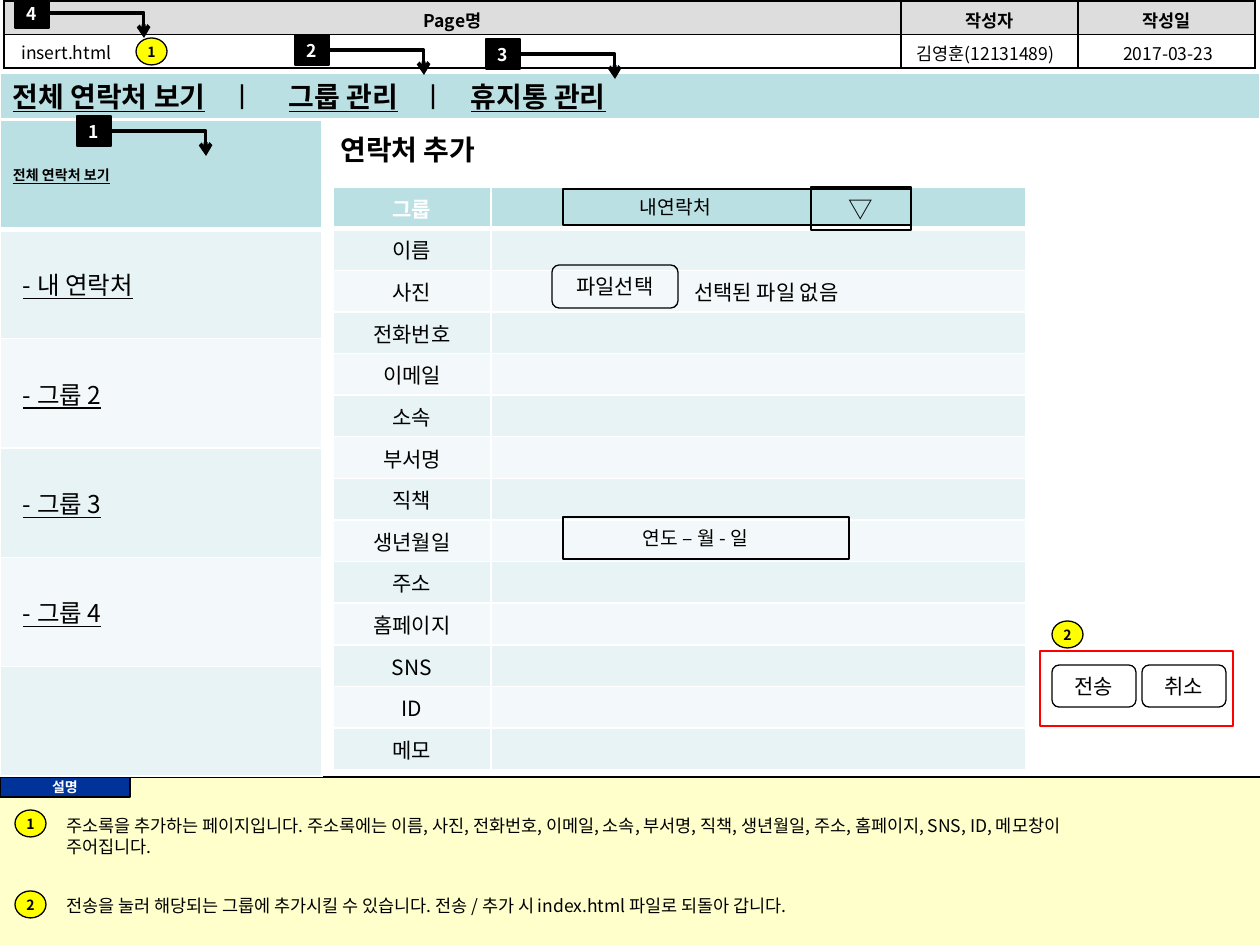
import pptx
import pptx.util
import pptx.dml.color
import pptx.enum.shapes
import pptx.enum.text
import pptx.oxml.ns
from lxml import etree

SCALE = 914400 / 126
FONT = "Noto Sans CJK KR"
INK = {
    "black": "000000", "white": "FFFFFF", "gray": "DDDDDD", "cream": "FFFFCC",
    "navy": "003399", "yellow": "FFFF00", "red": "FF0000",
    "teal": "BBE0E3", "mint": "E7F3F4", "pale": "F3F9FA",
}
KIND = pptx.enum.shapes.MSO_SHAPE
WIRE = pptx.enum.shapes.MSO_CONNECTOR
ANCHOR = pptx.enum.text.MSO_ANCHOR
ALIGN = {"l": pptx.enum.text.PP_ALIGN.LEFT, "c": pptx.enum.text.PP_ALIGN.CENTER}


def px(n):
    return pptx.util.Emu(round(n * SCALE))


def rgb(name):
    return pptx.dml.color.RGBColor.from_string(INK[name])


def node(parent, tag, **attrs):
    return etree.SubElement(parent, pptx.oxml.ns.qn("a:" + tag), **attrs)


def write(par, text, size=10, color="black", bold=False, under=False, align="l"):
    par.alignment = ALIGN[align]
    if not text:
        node(par._p, "endParaRPr", sz=str(size * 100))
        return
    run = par.add_run()
    run.text = text
    font = run.font
    font.size, font.bold, font.underline = pptx.util.Pt(size), bold, under
    font.color.rgb = rgb(color)
    font.name = FONT
    node(run._r.get_or_add_rPr(), "ea", typeface=FONT)


class Page:
    def __init__(self, deck):
        self.slide = deck.slides.add_slide(deck.slide_layouts[6])
        self.shapes = self.slide.shapes

    def paint(self, item, color):
        if color:
            item.fill.solid()
            item.fill.fore_color.rgb = rgb(color)
        else:
            item.fill.background()

    def shape(self, box, text="", kind=KIND.RECTANGLE, fill=None, line="black",
              width=0.75, pad=13, wrap=True, **style):
        item = self.shapes.add_shape(kind, *map(px, box))
        item.shadow.inherit = False
        self.paint(item, fill)
        if line:
            item.line.color.rgb = rgb(line)
            item.line.width = pptx.util.Pt(width)
        else:
            item.line.fill.background()
        frame = item.text_frame
        frame.word_wrap = wrap
        frame.vertical_anchor = ANCHOR.MIDDLE
        frame.margin_left, frame.margin_right = px(pad), px(min(pad, 13))
        frame.margin_top = frame.margin_bottom = 0
        if text:
            write(frame.paragraphs[0], text, **style)
        return item

    def text(self, box, *lines, **style):
        frame = self.shapes.add_textbox(*map(px, box)).text_frame
        frame.word_wrap = True
        for i, line in enumerate(lines):
            par = frame.add_paragraph() if i else frame.paragraphs[0]
            write(par, line, **style)

    def dot(self, x, y, text):
        self.shape((x, y, 31, 27), text, KIND.OVAL, "yellow", pad=0, wrap=False,
                   size=8, bold=True, align="c")

    def flag(self, x, y, text):
        self.shape((x, y, 34, 30), text, fill="black", pad=0, wrap=False,
                   color="white", bold=True, align="c")
        self.arrow(x + 34, y + 15, 95, 25)

    def arrow(self, x, y, w, h):
        wire = self.shapes.add_connector(WIRE.ELBOW, *map(px, (x, y, x + w, y + h)))
        wire.line.color.rgb = rgb("black")
        wire.line.width = pptx.util.Pt(2.25)
        node(wire.line._get_or_add_ln(), "tailEnd", type="arrow")
        props = wire._element.spPr
        node(props, "effectLst")
        turn = props.find(".//" + pptx.oxml.ns.qn("a:avLst"))
        node(turn, "gd", name="adj1", fmla="val 99500")

    def rule(self, x, y, w):
        wire = self.shapes.add_connector(WIRE.STRAIGHT, *map(px, (x, y, x + w, y)))
        wire.line.color.rgb = rgb("black")
        wire.line.width = pptx.util.Pt(0.75)
        node(wire._element.spPr, "effectLst")

    def table(self, x, y, cols, rows, height):
        item = self.shapes.add_table(rows, len(cols), *map(px, (x, y, sum(cols), height)))
        grid = item.table
        grid.first_row = grid.horz_banding = False
        for col, width in zip(grid.columns, cols):
            col.width = px(width)
        for row in grid.rows:
            row.height = px(height / rows)
        return grid

    def cell(self, cell, text="", fill=None, edge="white", top=1, base=1,
             pad=13, middle=False, **style):
        cell.margin_left, cell.margin_right = px(pad), px(13)
        cell.margin_top, cell.margin_bottom = px(6), px(6 if middle else 0)
        cell.vertical_anchor = ANCHOR.MIDDLE if middle else ANCHOR.TOP
        props = cell._tc.get_or_add_tcPr()
        for side, width in zip("LRTB", (1, 1, top, base)):
            line = node(props, "ln" + side, w=str(width * 12700))
            node(node(line, "solidFill"), "srgbClr", val=INK[edge])
        self.paint(cell, fill)
        write(cell.text_frame.paragraphs[0], text, **style)


def band(i):
    """Fill and border widths of row i under a heading row."""
    fill = "teal" if i == 0 else "mint" if i % 2 else "pale"
    return dict(fill=fill, top=3 if i == 1 else 1, base=3 if i == 0 else 1)


def main():
    deck = pptx.Presentation()
    deck.slide_width, deck.slide_height = px(1260), px(945)
    page = Page(deck)

    # Frame: note area and page heading
    page.shape((0, 777, 1260, 168), fill="cream", line=None)
    head = page.table(4, 1, (897, 177, 177), 2, 67)
    for i, name in enumerate(("Page명", "작성자", "작성일")):
        page.cell(head.cell(0, i), name, "gray", "black", bold=True, align="c")
        page.cell(head.cell(1, i), edge="black")
    page.rule(0, 777, 1260)
    page.shape((0, 777, 130, 20), "설명", fill="navy", wrap=False,
               size=8, color="white", bold=True, align="c")
    page.text((9, 36, 887, 30), "insert.html")
    page.text((896, 37, 179, 28), "김영훈(12131489)", align="c")
    page.text((1089, 37, 158, 28), "2017-03-23", align="c")

    # Notes
    page.text((54, 809, 1166, 30),
              "주소록을 추가하는 페이지입니다. 주소록에는 이름, 사진, 전화번호, 이메일, 소속, 부서명, "
              "직책, 생년월일, 주소, 홈페이지, SNS, ID, 메모창이", "주어집니다.")
    page.text((54, 889, 1166, 30),
              "전송을 눌러 해당되는 그룹에 추가시킬 수 있습니다. 전송 / 추가 시 "
              "index.html 파일로 되돌아 갑니다.")
    page.dot(15, 810, "1")
    page.dot(15, 891, "2")

    # Group list
    side = page.table(0, 120, (322,), 6, 656)
    names = ("전체 연락처 보기", "- 내 연락처", "- 그룹 2", "- 그룹 3", "- 그룹 4", "")
    for i, name in enumerate(names):
        page.cell(side.cell(i, 0), name, size=14 if i else 8, bold=i == 0,
                  under=True, middle=True, pad=23 if i else 13, **band(i))
    page.text((328, 126, 840, 47), "연락처 추가", size=16, bold=True)

    # Menu bar
    bar = page.shape((0, 73, 1260, 46), fill="teal", line="white")
    par = bar.text_frame.paragraphs[0]
    for i, name in enumerate(("전체 연락처 보기", "그룹 관리", "휴지통 관리")):
        if i:
            write(par, "\tㅣ\t", size=16)
        write(par, name, size=16, bold=True, under=True)
    tabs = node(par._p.get_or_add_pPr(), "tabLst")
    for stop in (217, 276, 408, 458):
        node(tabs, "tab", pos=str(px(stop)), algn="l")

    # Numbered flags
    page.flag(15, -2, "4")
    page.flag(486, 39, "3")
    page.flag(295, 35, "2")
    page.flag(77, 116, "1")
    page.dot(136, 38, "1")

    # Contact form
    form = page.table(333, 187, (158, 535), 14, 583)
    names = ("그룹", "이름", "사진", "전화번호", "이메일", "소속", "부서명", "직책",
             "생년월일", "주소", "홈페이지", "SNS", "ID", "메모")
    for i, name in enumerate(names):
        page.cell(form.cell(i, 0), name, size=12, bold=i == 0, align="c",
                  color="black" if i else "white", **band(i))
        page.cell(form.cell(i, 1), "선택된 파일 없음" if name == "사진" else "",
                  size=12, align="c", pad=29, **band(i))
    page.shape((563, 189, 348, 36), "내연락처", pad=77, size=11)
    page.shape((811, 187, 100, 43), "▽", size=14, align="c")
    page.shape((563, 517, 286, 42), "연도 – 월 - 일", pad=80, size=11)

    # Buttons
    page.dot(1052, 621, "2")
    page.shape((1040, 651, 193, 75), line="red", width=1)
    for box, name in (((552, 265, 126, 43), "파일선택"),
                      ((1052, 665, 84, 42), "전송"),
                      ((1142, 665, 84, 42), "취소")):
        page.shape(box, name, KIND.ROUNDED_RECTANGLE, size=12, align="c")

    deck.save("out.pptx")


if __name__ == "__main__":
    main()
